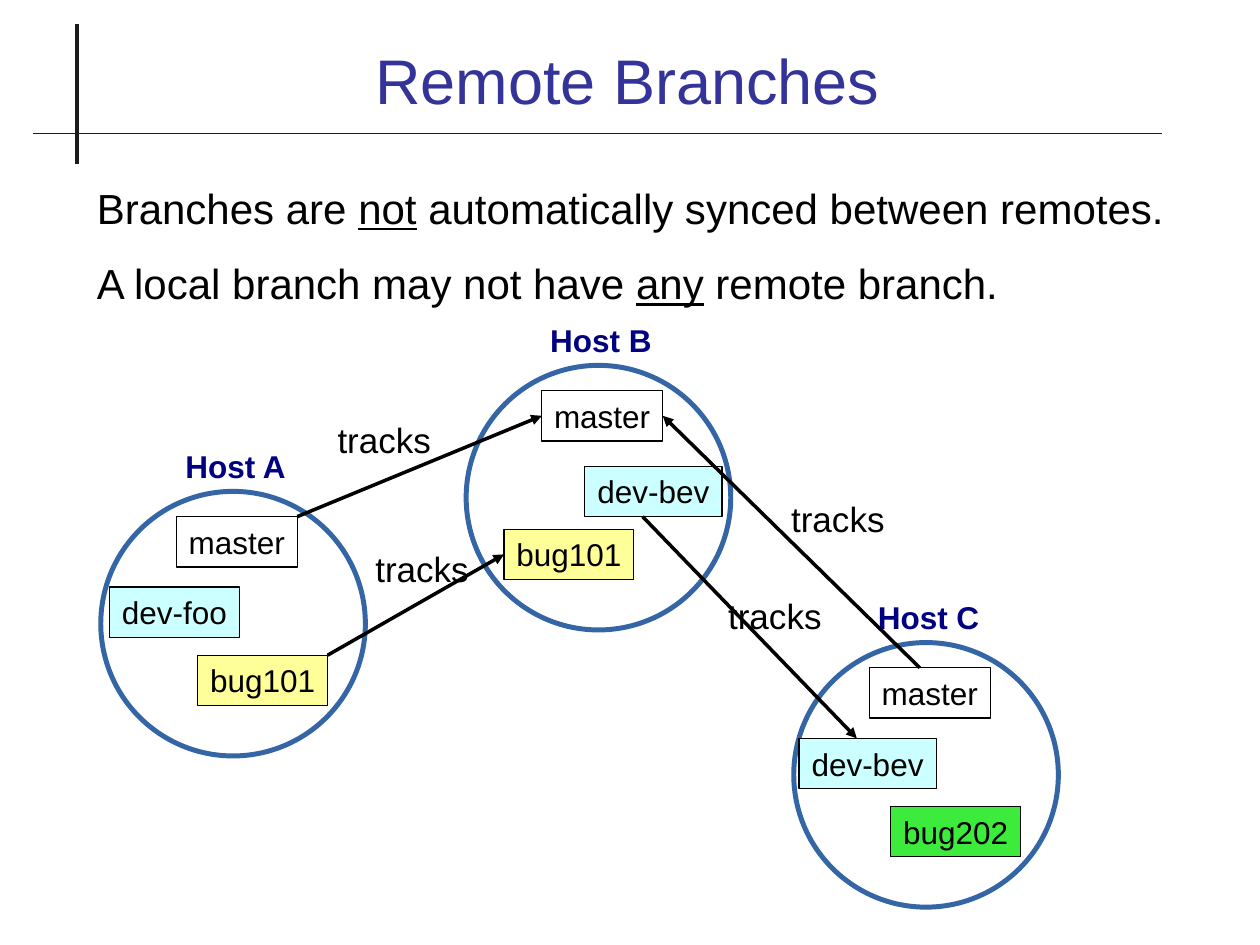
"""Build the Remote Branches slide: three hosts and the branches that track each other."""
import lxml.etree
import pptx
import pptx.dml.color
import pptx.enum.shapes
import pptx.enum.text
import pptx.oxml.ns
import pptx.util

RGBColor = pptx.dml.color.RGBColor
Align = pptx.enum.text.PP_ALIGN
Anchor = pptx.enum.text.MSO_ANCHOR
Shape = pptx.enum.shapes.MSO_SHAPE
Pt = pptx.util.Pt

BLACK = RGBColor(0x00, 0x00, 0x00)
CHARCOAL = RGBColor(0x1C, 0x1C, 0x1C)
INDIGO = RGBColor(0x33, 0x33, 0x99)
NAVY = RGBColor(0x00, 0x00, 0x80)
BLUE = RGBColor(0x34, 0x65, 0xA4)
CYAN = RGBColor(0xCC, 0xFF, 0xFF)
YELLOW = RGBColor(0xFF, 0xFF, 0x99)
GREEN = RGBColor(0x3D, 0xEB, 0x3D)

deck = pptx.Presentation()
deck.slide_width = pptx.util.Inches(10)
deck.slide_height = pptx.util.Inches(7.5)
page = deck.slides.add_slide(deck.slide_layouts[6])
COLUMN = deck.slide_width // 100
ROW = deck.slide_height // 75


def write(box, paragraphs, size, color, bold=False, align=Align.CENTER,
          anchor=Anchor.TOP, wrap=True):
    """Fill a box with paragraphs of (text, underlined) spans."""
    for name, value in {"word_wrap": wrap, "vertical_anchor": anchor}.items():
        setattr(box.text_frame, name, value)
    for index, spans in enumerate(paragraphs):
        para = box.text_frame.add_paragraph() if index else box.text_frame.paragraphs[0]
        para.alignment = align
        para.space_before = Pt(14.2 if index else 0)
        for text, underlined in spans:
            span = para.add_run()
            span.text = text
            span.font.color.rgb = color
            style = {"name": "Arial", "size": Pt(size), "bold": bold, "underline": underlined}
            for name, value in style.items():
                setattr(span.font, name, value)


def draw_line(start, end, color, width=0, arrow=False):
    """Draw a straight line between two grid points."""
    line = page.shapes.add_connector(
        pptx.enum.shapes.MSO_CONNECTOR.STRAIGHT,
        int(start[0] * COLUMN), int(start[1] * ROW), int(end[0] * COLUMN), int(end[1] * ROW))
    line.line.color.rgb = color
    line.line.width = Pt(width)
    if arrow:
        lxml.etree.SubElement(line.line._get_or_add_ln(),
                              pptx.oxml.ns.qn("a:tailEnd"), type="triangle")
    lxml.etree.SubElement(line._element.spPr, pptx.oxml.ns.qn("a:effectLst"))


draw_line((6.1, 1.9), (6.1, 13), CHARCOAL)
draw_line((2.6, 10.6), (92.2, 10.6), CHARCOAL, 0.5)

title = page.shapes.add_textbox(int(6.7 * COLUMN), int(2.8 * ROW), int(86.2 * COLUMN), 7 * ROW)
write(title, [[("Remote Branches", False)]], 36, INDIGO, anchor=Anchor.BOTTOM)

body = page.shapes.add_textbox(int(6.7 * COLUMN), 14 * ROW, int(89.3 * COLUMN), 13 * ROW)
write(body, [
    [("Branches are ", False), ("not", True), (" automatically synced between remotes.", False)],
    [("A local branch may not have ", False), ("any", True), (" remote branch.", False)],
], 24, BLACK, align=Align.LEFT)

hosts = [
    ("Host A", 8, 39, [("master", 6, 2, 9.6, None), ("dev-foo", 0.7, 7.6, 10.3, CYAN),
                       ("bug101", 7.7, 13, 10.3, YELLOW)]),
    ("Host B", 37, 29, [("master", 6, 2, 9.6, None), ("dev-bev", 9.4, 8, 10.9, CYAN),
                        ("bug101", 3, 13, 10.3, YELLOW)]),
    ("Host C", 63, 51, [("master", 6, 2, 9.6, None), ("dev-bev", 0.4, 7.6, 10.9, CYAN),
                        ("bug202", 7.7, 13, 10.3, GREEN)]),
]
for host, left, top, branches in hosts:
    circle = page.shapes.add_shape(Shape.OVAL, left * COLUMN, top * ROW, 21 * COLUMN, 21 * ROW)
    circle.shadow.inherit = False
    circle.fill.background()
    circle.line.color.rgb = BLUE
    circle.line.width = Pt(2.83)
    label = page.shapes.add_textbox(int((left + 3.2) * COLUMN), (top - 4) * ROW,
                                    15 * COLUMN, 4 * ROW)
    write(label, [[(host, False)]], 18, NAVY, bold=True)
    for branch, across, down, width, color in branches:
        box = page.shapes.add_shape(Shape.RECTANGLE, int((left + across) * COLUMN),
                                    int((top + down) * ROW), int(width * COLUMN), 4 * ROW)
        box.shadow.inherit = False
        box.line.color.rgb = BLACK
        box.line.width = Pt(0)
        if color is None:
            box.fill.background()
        else:
            box.fill.solid()
            box.fill.fore_color.rgb = color
        write(box, [[(branch, False)]], 18, BLACK, anchor=Anchor.MIDDLE, wrap=False)

tracks = [
    ((23.6, 41), (43, 33), (24, 32.7)),
    ((26, 52), (40, 44), (27, 43)),
    ((73, 53), (52.6, 33), (60, 39)),
    ((51, 41), (68, 58.6), (55, 46.7)),
]
for start, end, corner in tracks:
    draw_line(start, end, BLACK, arrow=True)
    label = page.shapes.add_textbox(int(corner[0] * COLUMN), int(corner[1] * ROW),
                                    13 * COLUMN, int(4.3 * ROW))
    write(label, [[("tracks", False)]], 20, BLACK)

deck.save("out.pptx")
